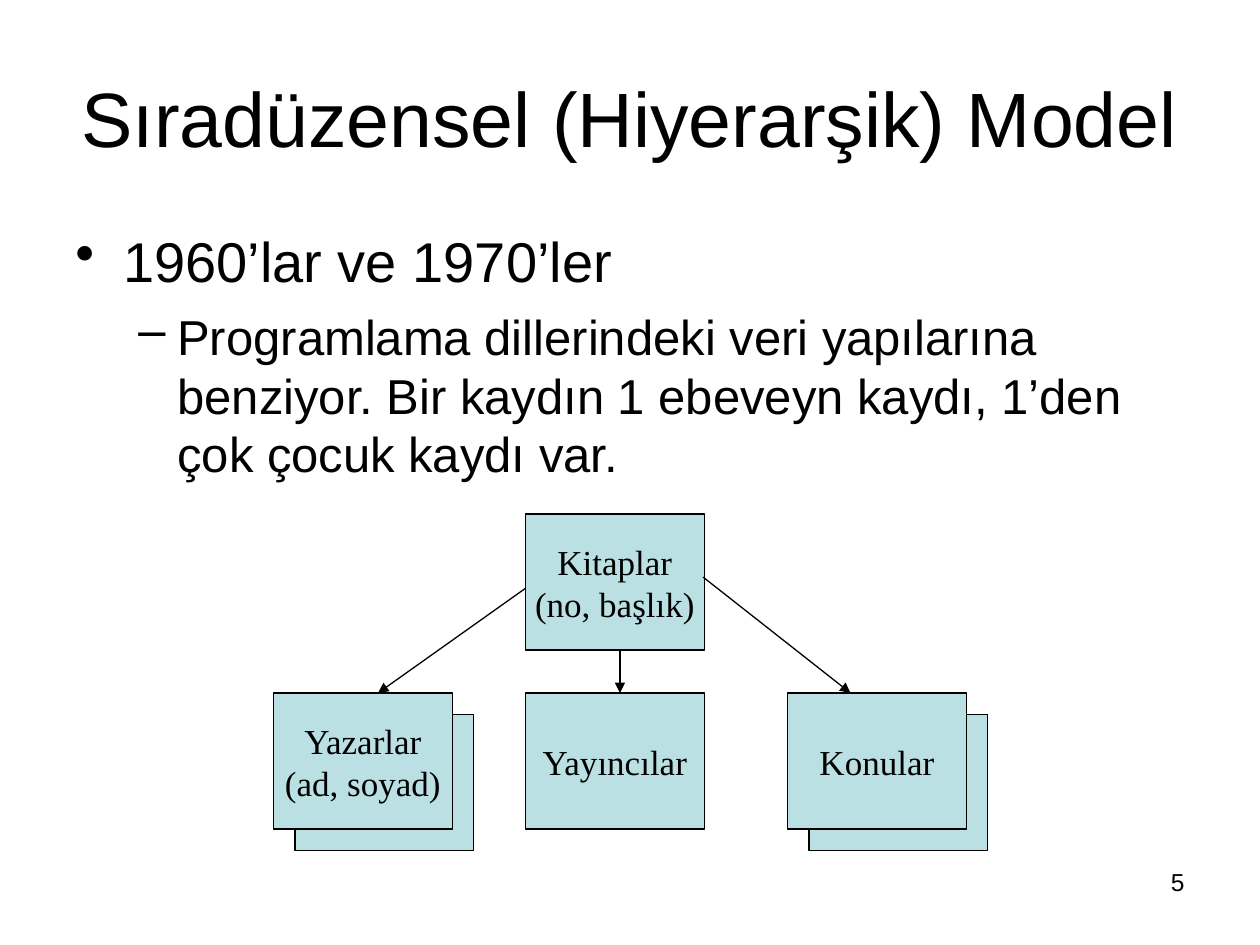
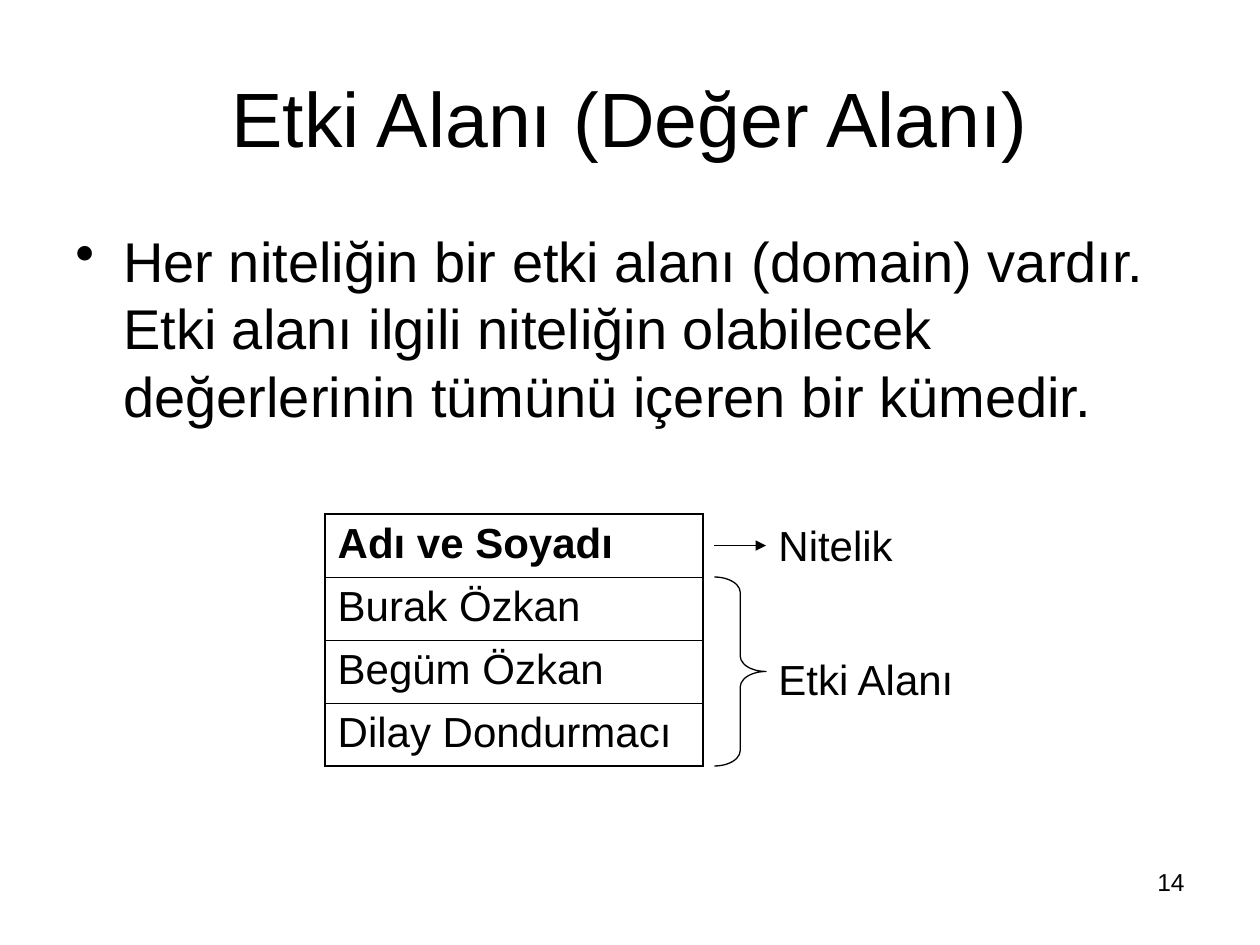
from dataclasses import dataclass

from lxml import etree
from pptx import Presentation
from pptx.dml.color import RGBColor
from pptx.enum.shapes import MSO_CONNECTOR, MSO_SHAPE
from pptx.enum.text import MSO_ANCHOR, PP_ALIGN
from pptx.oxml.ns import qn
from pptx.util import Inches, Pt

LEFT, MID, RIGHT = PP_ALIGN.LEFT, PP_ALIGN.CENTER, PP_ALIGN.RIGHT
TOP, CENTER = MSO_ANCHOR.TOP, MSO_ANCHOR.MIDDLE
RECT, BRACE = MSO_SHAPE.RECTANGLE, MSO_SHAPE.RIGHT_BRACE
STRAIGHT = MSO_CONNECTOR.STRAIGHT


@dataclass(frozen=True)
class Theme:
    ink: RGBColor = RGBColor(0, 0, 0)
    node: RGBColor = RGBColor(0xBB, 0xE0, 0xE3)
    sans: str = "Arial"
    serif: str = "Times New Roman"
    title: int = 44
    body: int = 32
    sub: int = 28
    label: int = 24
    box: int = 20
    page: int = 14
    line: float = 0.75
    rim: float = 1.08
    rule: float = 0.45


THEME = Theme()

# Bullet levels: sign, size, left margin, hanging indent, space before
LEVELS = (
    ("•", THEME.body, 0.38, 0.38, 8),
    ("–", THEME.sub, 0.81, 0.31, 7),
)


# Text
def write(frame, lines, size=THEME.label, font=THEME.sans, bold=False,
          align=LEFT, anchor=TOP, wrap=True, before=0):
    """Fill a frame, one paragraph a line, and return the paragraphs."""
    frame.word_wrap = wrap
    frame.vertical_anchor = anchor
    for i, line in enumerate(lines):
        para = frame.paragraphs[0] if i == 0 else frame.add_paragraph()
        para.alignment = align
        para.space_before = Pt(before)
        run = para.add_run()
        run.text = line
        run.font.size, run.font.name = Pt(size), font
        run.font.bold = bold
        run.font.color.rgb = THEME.ink
    return frame.paragraphs


def label(slide, box, lines, **style):
    area = slide.shapes.add_textbox(*map(Inches, box))
    return write(area.text_frame, lines, **style)


# Lines and shapes
def ink_line(line):
    line.color.rgb = THEME.ink
    line.width = Pt(THEME.line)


def arrow(slide, start, end):
    link = slide.shapes.add_connector(STRAIGHT, *map(Inches, start + end))
    ink_line(link.line)
    props = link._element.spPr
    etree.SubElement(props.find(qn("a:ln")), qn("a:tailEnd"), type="triangle")
    etree.SubElement(props, qn("a:effectLst"))


def shape(slide, kind, box, fill=None):
    part = slide.shapes.add_shape(kind, *map(Inches, box))
    part.shadow.inherit = False
    if fill is None:
        part.fill.background()
    else:
        part.fill.solid()
        part.fill.fore_color.rgb = fill
    ink_line(part.line)
    return part


def border(cell, sides):
    props = cell._tc.get_or_add_tcPr()
    for side, width in sides.items():
        edge = etree.SubElement(props, qn(f"a:ln{side}"), w=str(Pt(width)))
        fill = etree.SubElement(edge, qn("a:solidFill"))
        etree.SubElement(fill, qn("a:srgbClr"), val=str(THEME.ink))


# Shared frame: title, bullets, page number
def bullets(slide, box, items):
    paras = label(slide, box, [text for _, text in items])
    for para, (level, _) in zip(paras, items):
        sign, size, margin, hang, before = LEVELS[level]
        para.level = level
        para.space_before = Pt(before)
        para.runs[0].font.size = Pt(size)
        props = para._p.get_or_add_pPr()
        props.set("marL", str(Inches(margin)))
        props.set("indent", str(-Inches(hang)))
        etree.SubElement(props, qn("a:buChar"), char=sign)


def page(deck, title, items, number):
    slide = deck.slides.add_slide(deck.slide_layouts[6])
    label(slide, (0.5, 0.3, 9, 1.25), [title], size=THEME.title,
          align=MID, anchor=CENTER)
    bullets(slide, (0.5, 1.75, 9, 4.95), items)
    label(slide, (7.17, 6.83, 2.33, 0.52), [str(number)], size=THEME.page,
          align=RIGHT)
    return slide


# Tree of record types
def tree(slide, box):
    x, y, *_ = box
    wide, high, step = 1.42, 1.08, 0.17
    row = 1.42
    nodes = (
        (2, 0, ["Kitaplar", "(no, başlık)"], False),
        (2, row, ["Yayıncılar"], False),
        (4.08, row, ["Konular"], True),
        (0, row, ["Yazarlar", "(ad, soyad)"], True),
    )
    for dx, dy, lines, stack in nodes:
        if stack:
            shape(slide, RECT, (x + dx + step, y + dy + step, wide, high),
                  THEME.node)
        node = shape(slide, RECT, (x + dx, y + dy, wide, high), THEME.node)
        write(node.text_frame, lines, size=THEME.box, font=THEME.serif,
              align=MID, anchor=CENTER, wrap=False)
    # Arrows from the parent to each child
    for (ax, ay), bx in (((2, 0.59), 0.83), ((2.75, high), 2.75),
                         ((3.41, 0.5), 4.58)):
        arrow(slide, (x + ax, y + ay), (x + bx, y + row))


# One-column table with its value range
def domain(slide, box):
    x, y, wide, high = box
    names = ("Adı ve Soyadı", "Burak Özkan", "Begüm Özkan",
             "Dilay Dondurmacı")
    last = len(names) - 1
    row = high / len(names)
    table = slide.shapes.add_table(len(names), 1, *map(Inches, box)).table
    table.first_row = table.horz_banding = False
    for i, name in enumerate(names):
        table.rows[i].height = Inches(row)
        cell = table.cell(i, 0)
        write(cell.text_frame, [name], bold=i == 0, before=6)
        border(cell, {"L": THEME.rim, "R": THEME.rim,
                      "T": THEME.rim if i == 0 else THEME.rule,
                      "B": THEME.rim if i == last else THEME.rule})
        cell.fill.background()

    # Arrow, brace and labels beside the rows
    gap, span = 0.09, 0.41
    side = x + wide + gap
    arrow(slide, (side, y + row / 2), (side + span, y + row / 2))
    brace = shape(slide, BRACE, (side, y + row, span, high - row))
    brace.adjustments[0] = 0.3
    paras = label(slide, (side + span, y - 0.01, 1.83, 1.55),
                  ["Nitelik", "Etki Alanı"])
    paras[1].space_before = Pt(48)


def main():
    deck = Presentation()
    deck.slide_width, deck.slide_height = Inches(10), Inches(7.5)

    slide = page(deck, "Sıradüzensel (Hiyerarşik) Model", [
        (0, "1960’lar ve 1970’ler"),
        (1, "Programlama dillerindeki veri yapılarına benziyor. "
            "Bir kaydın 1 ebeveyn kaydı, 1’den çok çocuk kaydı var."),
    ], 5)
    tree(slide, (2.17, 4.08, 5.67, 2.67))

    slide = page(deck, "Etki Alanı (Değer Alanı)", [
        (0, "Her niteliğin bir etki alanı (domain) vardır. Etki alanı "
            "ilgili niteliğin olabilecek değerlerinin tümünü içeren "
            "bir kümedir."),
    ], 14)
    domain(slide, (2.58, 4.08, 3, 2))

    deck.save("out.pptx")


if __name__ == "__main__":
    main()
